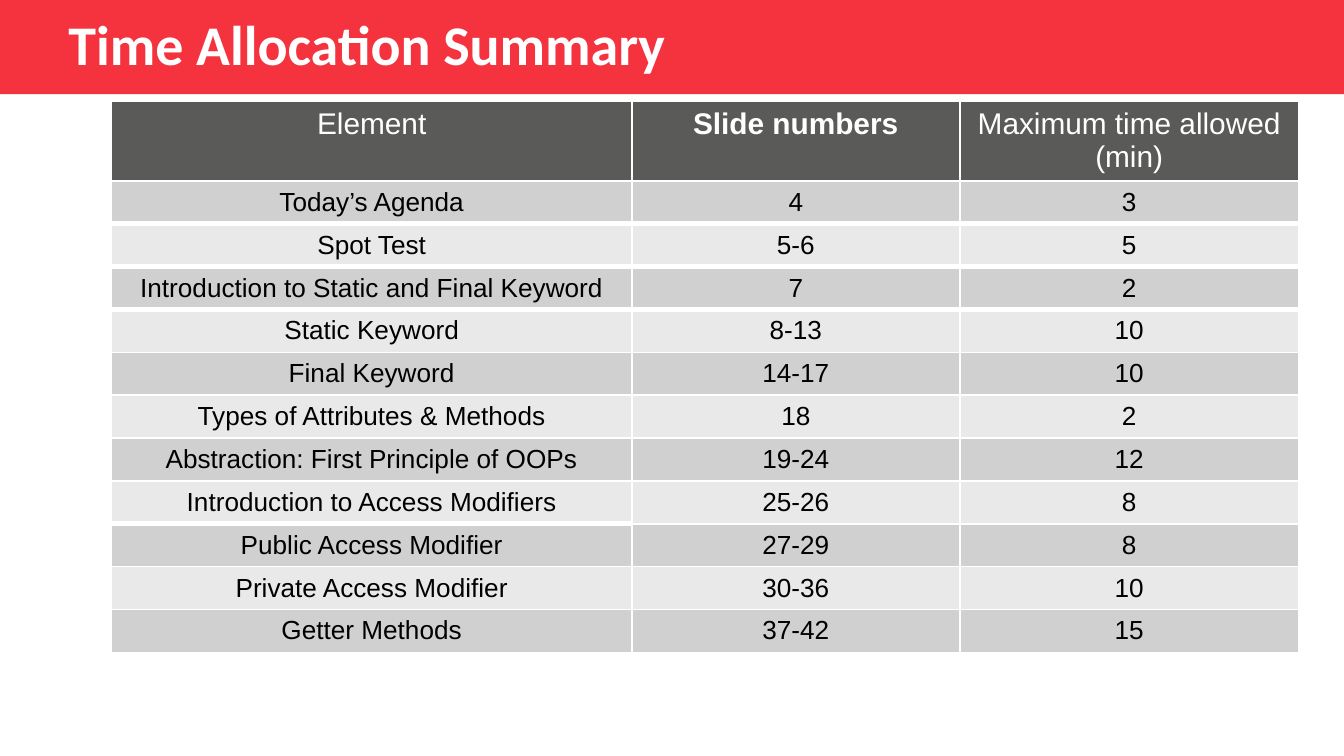
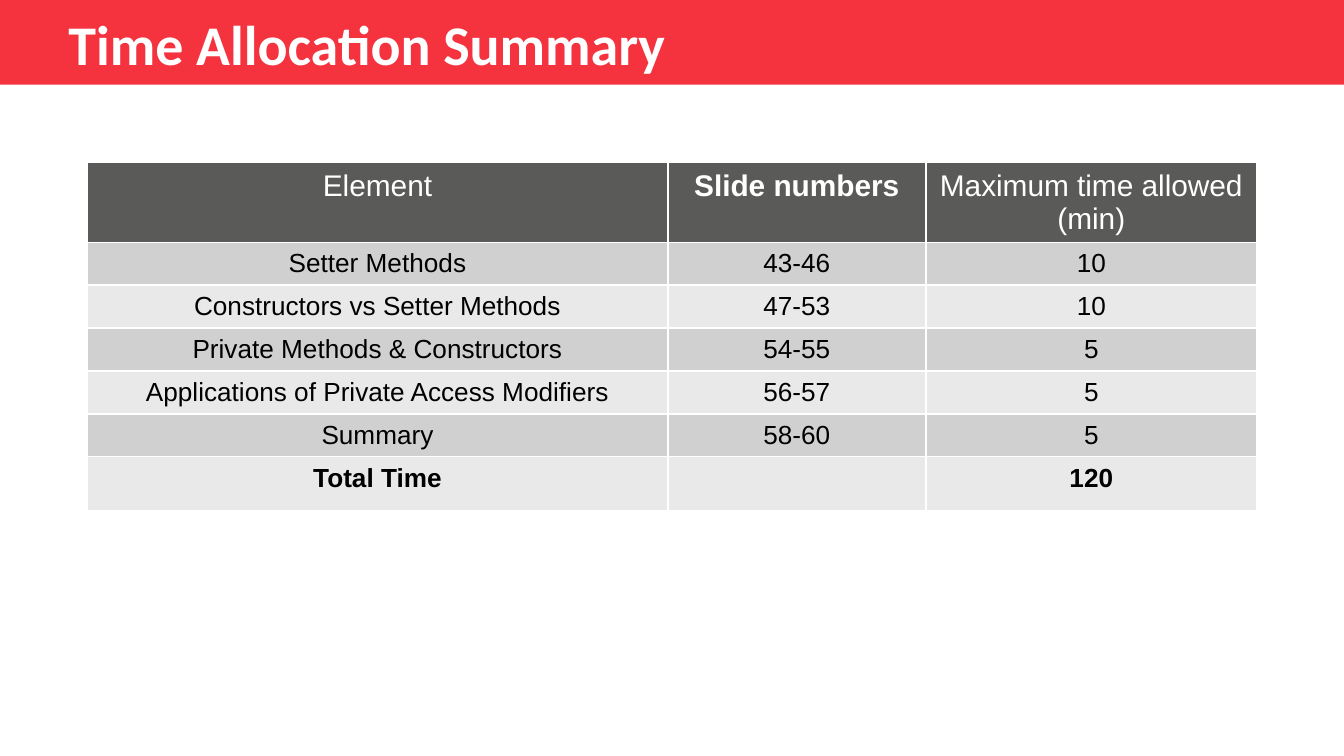
import lxml.etree
import pptx
import pptx.dml.color
import pptx.enum.shapes
import pptx.enum.text
import pptx.oxml.ns
import pptx.util

Cm = pptx.util.Cm
Pt = pptx.util.Pt
RGBColor = pptx.dml.color.RGBColor

RED = RGBColor(0xF4, 0x33, 0x3F)
WHITE = RGBColor(0xFF, 0xFF, 0xFF)
BLACK = RGBColor(0x00, 0x00, 0x00)
HEADER_GREY = RGBColor(0x5A, 0x5A, 0x59)
DARK_STRIPE = RGBColor(0xD0, 0xD0, 0xD0)
LIGHT_STRIPE = RGBColor(0xE9, 0xE9, 0xE9)

TITLE = "Time Allocation Summary"
TITLE_FONT = "Calibri"
TABLE_FONT = "Arial"
TITLE_ONLY_LAYOUT = 5
HEADER_HEIGHT = Cm(1.51)
ROW_HEIGHT = Cm(0.81)
THIN = Pt(0.96)
THICK = Pt(3)

HEADINGS = ("Element", "Slide numbers", "Maximum time allowed (min)")
FIRST_ITEMS = [
    ("Today’s Agenda", "4", "3"),
    ("Spot Test", "5-6", "5"),
    ("Introduction to Static and Final Keyword", "7", "2"),
    ("Static Keyword", "8-13", "10"),
    ("Final Keyword", "14-17", "10"),
    ("Types of Attributes & Methods", "18", "2"),
    ("Abstraction: First Principle of OOPs", "19-24", "12"),
    ("Introduction to Access Modifiers", "25-26", "8"),
    ("Public Access Modifier", "27-29", "8"),
    ("Private Access Modifier", "30-36", "10"),
    ("Getter Methods", "37-42", "15"),
]
SECOND_ITEMS = [
    ("Setter Methods", "43-46", "10"),
    ("Constructors vs Setter Methods", "47-53", "10"),
    ("Private Methods & Constructors", "54-55", "5"),
    ("Applications of Private Access Modifiers", "56-57", "5"),
    ("Summary", "58-60", "5"),
    ("Total Time", "", "120"),
]
THICK_BELOW = {(row, column) for row in (1, 2, 3) for column in range(3)} | {(8, 0)}


def add_span(para, text, font, size, color, bold):
    span = para.add_run()
    span.text = text
    span.font.name = font
    span.font.size = Pt(size)
    span.font.color.rgb = color
    span.font.bold = bold


def add_band(page, width, height):
    band = page.shapes.add_shape(
        pptx.enum.shapes.MSO_SHAPE.RECTANGLE, 0, 0, width, height)
    band.shadow.inherit = False
    band.fill.solid()
    band.fill.fore_color.rgb = RED
    band.line.fill.background()
    return band


def format_title(page, band):
    title = page.shapes.title
    title.left, title.top = Cm(1.04), Cm(-0.28)
    title.width, title.height = Cm(16.97), Cm(2.18)
    frame = title.text_frame
    frame.word_wrap = True
    frame.auto_size = pptx.enum.text.MSO_AUTO_SIZE.NONE
    frame.vertical_anchor = pptx.enum.text.MSO_ANCHOR.MIDDLE
    para = frame.paragraphs[0]
    para.alignment = pptx.enum.text.PP_ALIGN.LEFT
    para.space_before = Pt(10)
    add_span(para, TITLE, TITLE_FONT, 30, WHITE, True)
    title.element.addprevious(band.element)


def add_title_page(deck, band_height):
    page = deck.slides.add_slide(deck.slide_layouts[TITLE_ONLY_LAYOUT])
    band = add_band(page, deck.slide_width, band_height)
    format_title(page, band)
    return page


def set_borders(cell, top, bottom):
    properties = cell._tc.get_or_add_tcPr()
    qn = pptx.oxml.ns.qn
    for side, width in (("L", THIN), ("R", THIN), ("T", top), ("B", bottom)):
        line = lxml.etree.SubElement(properties, qn(f"a:ln{side}"), w=str(int(width)))
        fill = lxml.etree.SubElement(line, qn("a:solidFill"))
        lxml.etree.SubElement(fill, qn("a:srgbClr"), val=str(WHITE))


def fill_cell(cell, text, fill, size, color, bold):
    cell.fill.solid()
    cell.fill.fore_color.rgb = fill
    para = cell.text_frame.paragraphs[0]
    para.alignment = pptx.enum.text.PP_ALIGN.CENTER
    if text:
        add_span(para, text, TABLE_FONT, size, color, bold)


def add_time_table(page, left, top, widths, items, thick_below=frozenset()):
    rows = [HEADINGS, *items]
    height = HEADER_HEIGHT + ROW_HEIGHT * len(items)
    table = page.shapes.add_table(
        len(rows), len(widths), left, top, sum(widths), height).table
    for column, width in zip(table.columns, widths):
        column.width = width
    for r, texts in enumerate(rows):
        table.rows[r].height = ROW_HEIGHT if r else HEADER_HEIGHT
        for c, text in enumerate(texts):
            cell = table.cell(r, c)
            set_borders(cell,
                        THICK if (r - 1, c) in thick_below else THIN,
                        THICK if (r, c) in thick_below else THIN)
            if r == 0:
                fill_cell(cell, text, HEADER_GREY, 16, WHITE, c == 1)
            else:
                stripe = DARK_STRIPE if r % 2 else LIGHT_STRIPE
                fill_cell(cell, text, stripe, 14, BLACK, texts[0] == "Total Time")


def main():
    deck = pptx.Presentation()
    deck.slide_width, deck.slide_height = Cm(25.4), Cm(14.29)

    page = add_title_page(deck, Cm(1.78))
    add_time_table(page, Cm(2.11), Cm(1.91), (Cm(9.83), Cm(6.2), Cm(6.4)),
                   FIRST_ITEMS, THICK_BELOW)

    page = add_title_page(deck, Cm(1.6))
    add_time_table(page, Cm(1.65), Cm(3.07), (Cm(10.97), Cm(4.88), Cm(6.25)),
                   SECOND_ITEMS)

    deck.save("out.pptx")


if __name__ == "__main__":
    main()
